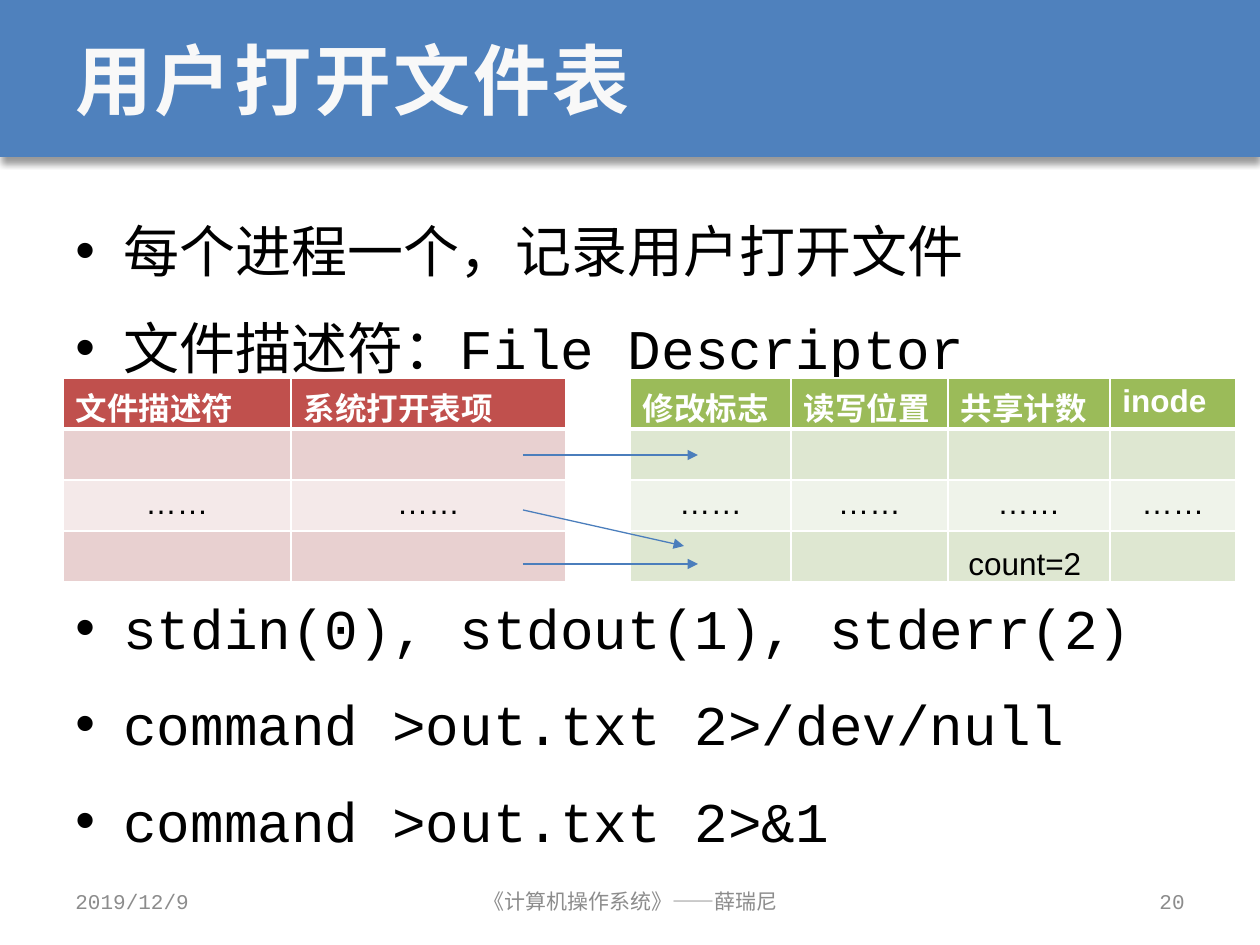
from lxml import etree
from pptx import Presentation
from pptx.dml.color import RGBColor
from pptx.enum.shapes import MSO_CONNECTOR, MSO_SHAPE
from pptx.enum.text import MSO_ANCHOR, PP_ALIGN
from pptx.oxml import parse_xml
from pptx.oxml.ns import nsdecls, qn
from pptx.util import Pt

EMU_PER_PX = 914400 / 126
LEFT, CENTER, RIGHT = PP_ALIGN.LEFT, PP_ALIGN.CENTER, PP_ALIGN.RIGHT
TOP, MIDDLE = MSO_ANCHOR.TOP, MSO_ANCHOR.MIDDLE
STRAIGHT = MSO_CONNECTOR.STRAIGHT

BLACK = RGBColor(0x00, 0x00, 0x00)
WHITE = RGBColor(0xFF, 0xFF, 0xFF)
BLUE = RGBColor(0x4F, 0x81, 0xBD)
ARROW_BLUE = RGBColor(0x4B, 0x7E, 0xBC)
TITLE_WHITE = RGBColor(0xF8, 0xF8, 0xF8)
GRAY = RGBColor(0x8C, 0x8C, 0x8C)
RED = RGBColor(0xC0, 0x50, 0x4D)
RED_BAND = RGBColor(0xE8, 0xD0, 0xD0)
RED_PALE = RGBColor(0xF4, 0xE9, 0xE9)
GREEN = RGBColor(0x9B, 0xBB, 0x59)
GREEN_BAND = RGBColor(0xDE, 0xE7, 0xD1)
GREEN_PALE = RGBColor(0xEF, 0xF3, 0xEA)


def px(*lengths):
    return [round(length * EMU_PER_PX) for length in lengths]


def add_text(box, lines, size, color, font="Courier New", align=LEFT, anchor=TOP, wrap=True):
    frame = slide.shapes.add_textbox(*px(*box)).text_frame
    frame.word_wrap = wrap
    frame.vertical_anchor = anchor
    frame.text = "\n".join(lines)
    for paragraph in frame.paragraphs:
        paragraph.alignment = align
        paragraph.font.size = Pt(size)
        paragraph.font.name = font
        paragraph.font.color.rgb = color
    return frame


prs = Presentation()
prs.slide_width, prs.slide_height = px(1260, 945)
slide = prs.slides.add_slide(prs.slide_layouts[6])

# Title band with a soft shadow below it
band = slide.shapes.add_shape(MSO_SHAPE.RECTANGLE, *px(0, 0, 1260, 157))
band.fill.solid()
band.fill.fore_color.rgb = BLUE
band.line.fill.background()
band.shadow.inherit = False
band.element.spPr.find(qn("a:effectLst")).append(parse_xml(
    f'<a:outerShdw {nsdecls("a")} blurRad="50800" dist="38100" dir="5400000" rotWithShape="0">'
    '<a:srgbClr val="000000"><a:alpha val="40000"/></a:srgbClr></a:outerShdw>'))

title = add_text((63, 0, 1134, 157), ["用户打开文件表"], 44, TITLE_WHITE, anchor=MIDDLE)
title.paragraphs[0].font.bold = True
title.paragraphs[0].runs[0].font._element.set("spc", "150")

# Bullets, with a gap for the tables before the third one
bullets = add_text((63, 197, 1134, 661), [
    "每个进程一个，记录用户打开文件",
    "文件描述符：File Descriptor",
    "stdin(0), stdout(1), stderr(2)",
    "command >out.txt 2>/dev/null",
    "command >out.txt 2>&1",
], 32, BLACK)
for paragraph, gap in zip(bullets.paragraphs, (0, 9, 114, 9, 9)):
    paragraph.line_spacing = 1.2
    paragraph.space_before = Pt(gap)
    properties = paragraph._p.get_or_add_pPr()
    indent = px(48)[0]
    properties.set("marL", str(indent))
    properties.set("indent", str(-indent))
    etree.SubElement(properties, qn("a:buFont")).set("typeface", "Arial")
    etree.SubElement(properties, qn("a:buChar")).set("char", "•")

# Footer
for left, width, text, align in (
    (63, 294, "2019/12/9", LEFT),
    (431, 399, "《计算机操作系统》——薛瑞尼", CENTER),
    (903, 294, "20", RIGHT),
):
    add_text((left, 876, width, 50), [text], 12, GRAY, align=align, anchor=MIDDLE)

# User open-file table and system open-file table
ROW_HEIGHT = 51
for left, widths, headings, head_fill, band_fill, pale_fill in (
    (63, (228, 275), ("文件描述符", "系统打开表项"), RED, RED_BAND, RED_PALE),
    (630, (161, 157, 162, 126), ("修改标志", "读写位置", "共享计数", "inode"),
     GREEN, GREEN_BAND, GREEN_PALE),
):
    blank = [""] * len(widths)
    rows = [headings, blank, ["……"] * len(widths), blank]
    fills = (head_fill, band_fill, pale_fill, band_fill)
    table = slide.shapes.add_table(
        len(rows), len(widths), *px(left, 378, sum(widths), ROW_HEIGHT * len(rows))).table
    for column, width in zip(table.columns, widths):
        column.width = px(width)[0]
    for r, (texts, fill) in enumerate(zip(rows, fills)):
        table.rows[r].height = px(ROW_HEIGHT)[0]
        for c, text in enumerate(texts):
            cell = table.cell(r, c)
            cell.text = text
            cell.fill.solid()
            cell.fill.fore_color.rgb = fill
            paragraph = cell.text_frame.paragraphs[0]
            paragraph.alignment = CENTER if r else LEFT
            paragraph.font.size = Pt(18)
            paragraph.font.name = "Arial"
            paragraph.font.bold = r == 0
            paragraph.font.color.rgb = BLACK if r else WHITE
            for position, side in enumerate(("lnL", "lnR", "lnT", "lnB")):
                thick = (r, side) in ((0, "lnB"), (1, "lnT"))
                cell._tc.get_or_add_tcPr().insert(position, parse_xml(
                    f'<a:{side} {nsdecls("a")} w="{Pt(3 if thick else 1)}"><a:solidFill>'
                    f'<a:srgbClr val="{WHITE}"/></a:solidFill></a:{side}>'))

# Arrows from user entries to system entries
for ends in ((523, 564, 698, 564), (523, 455, 698, 455), (523, 510, 684, 546)):
    arrow = slide.shapes.add_connector(STRAIGHT, *px(*ends))
    arrow.line.color.rgb = ARROW_BLUE
    arrow.line.width = Pt(0.75)
    etree.SubElement(arrow.line._get_or_add_ln(), qn("a:tailEnd")).set("type", "triangle")
    etree.SubElement(arrow._element.spPr, qn("a:effectLst"))

# Share count of the entry with two references
add_text((956, 538, 140, 50), ["count=2"], 18, BLACK, font="Arial", wrap=False)

prs.save("out.pptx")
